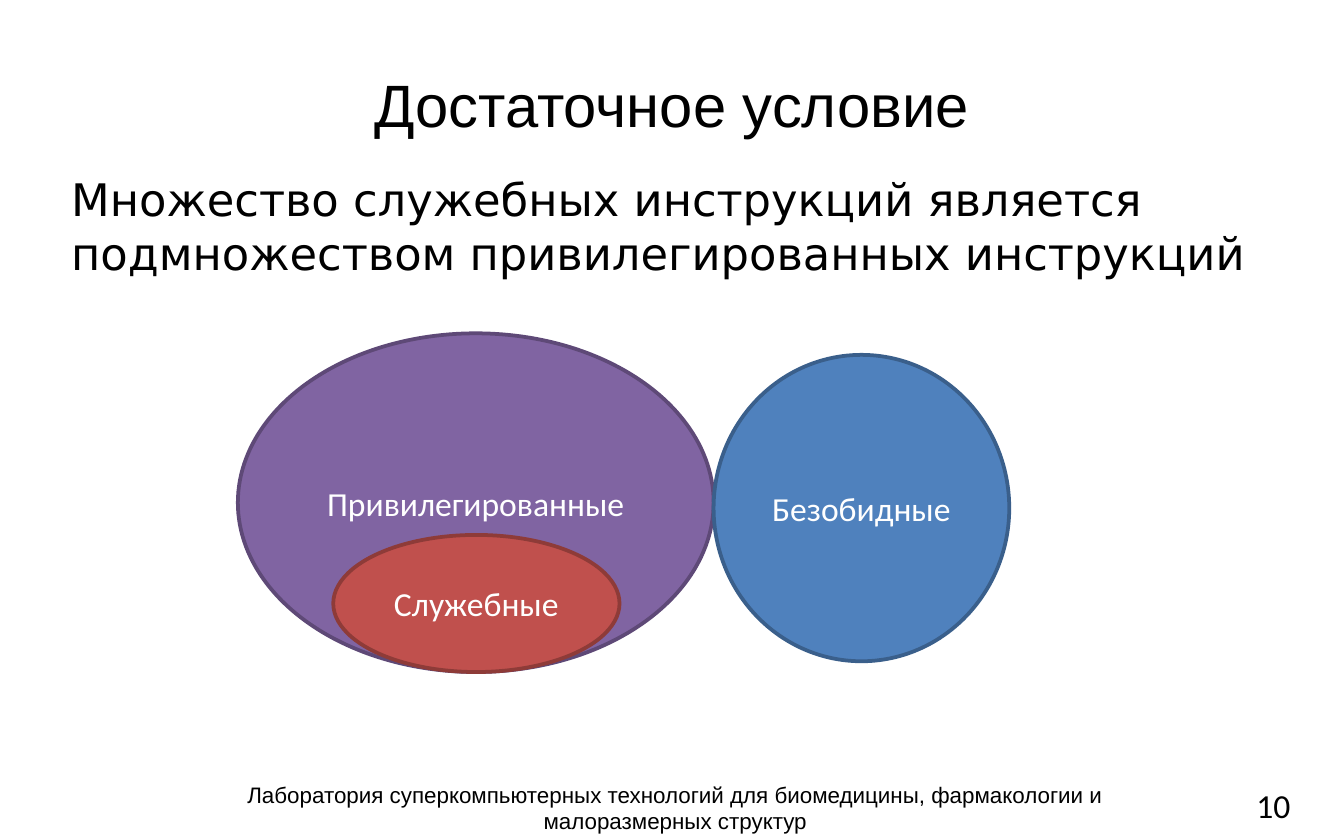
from dataclasses import dataclass

from pptx import Presentation, util as u
from pptx.dml.color import RGBColor
from pptx.enum import shapes, text

# Slide grid: cells of a tenth of an inch
COLUMNS, ROWS = 100, 62.2
CELL = u.Inches(0.1)

COLORS = {
    "ink": "000000",
    "paper": "FFFFFF",
    "privileged": "8064A2",
    "privileged_edge": "5E4977",
    "harmless": "4F81BD",
    "harmless_edge": "3A5F8B",
    "service": "C0504D",
    "service_edge": "8E3B38",
}


@dataclass(frozen=True)
class Area:
    column: float
    row: float
    columns: float
    rows: float

    def lengths(self) -> tuple[int, ...]:
        return tuple(round(n * CELL) for n in
                     (self.column, self.row, self.columns, self.rows))


@dataclass(frozen=True)
class InstructionSet:
    label: str
    area: Area
    color: str


@dataclass(frozen=True)
class Style:
    font: str
    size: float
    color: str = "ink"
    align: text.PP_ALIGN = text.PP_ALIGN.LEFT
    anchor: text.MSO_ANCHOR = text.MSO_ANCHOR.TOP


CENTER, MIDDLE = text.PP_ALIGN.CENTER, text.MSO_ANCHOR.MIDDLE
TITLE = Style("Arial", 32, align=CENTER, anchor=MIDDLE)
STATEMENT = Style("DejaVu Sans", 24)
LABEL = Style("Calibri", 18, "paper", CENTER, MIDDLE)
FOOTER = Style("Arial", 12, align=CENTER)
PAGE = Style("Calibri", 18)

SETS = [
    InstructionSet("Привилегированные", Area(17.7, 24.8, 35.4, 25.2), "privileged"),
    InstructionSet("Безобидные", Area(53.1, 26.4, 22, 22.8), "harmless"),
    InstructionSet("Служебные", Area(24.8, 39.8, 21.3, 10.2), "service"),
]


def rgb(name: str) -> RGBColor:
    return RGBColor.from_string(COLORS[name])


def write(shape, words: str, style: Style) -> None:
    frame = shape.text_frame
    frame.text = words
    frame.word_wrap = True
    frame.auto_size = text.MSO_AUTO_SIZE.NONE
    frame.vertical_anchor = style.anchor
    paragraph = frame.paragraphs[0]
    paragraph.alignment = style.align
    paragraph.line_spacing = 1.0
    paragraph.space_before = u.Pt(0)
    font = paragraph.runs[0].font
    font.name, font.size = style.font, u.Pt(style.size)
    font.color.rgb = rgb(style.color)


def place(shape, area: Area) -> None:
    shape.left, shape.top, shape.width, shape.height = area.lengths()


def remove_bullet(paragraph) -> None:
    properties = paragraph._p.get_or_add_pPr()
    properties.set("marL", "0")
    properties.set("indent", "0")
    properties.append(properties.makeelement(
        "{http://schemas.openxmlformats.org/drawingml/2006/main}buNone", {}))


def draw_set(slide, item: InstructionSet) -> None:
    ellipse = slide.shapes.add_shape(shapes.MSO_SHAPE.OVAL, *item.area.lengths())
    ellipse.shadow.inherit = False
    ellipse.fill.solid()
    ellipse.fill.fore_color.rgb = rgb(item.color)
    ellipse.line.color.rgb = rgb(f"{item.color}_edge")
    ellipse.line.width = u.Pt(2)
    write(ellipse, item.label, LABEL)


def add_note(slide, words: str, area: Area, style: Style) -> None:
    write(slide.shapes.add_textbox(*area.lengths()), words, style)


def main() -> None:
    deck = Presentation()
    deck.slide_width, deck.slide_height = round(COLUMNS * CELL), round(ROWS * CELL)
    slide = deck.slides.add_slide(deck.slide_layouts[1])

    # Title and statement
    title, statement = slide.placeholders
    place(title, Area(5, 2.5, 90, 10.4))
    write(title, "Достаточное условие", TITLE)
    place(statement, Area(4.3, 12.3, 91, 9))
    statement.fill.solid()
    statement.fill.fore_color.rgb = rgb("paper")
    write(statement, "Множество служебных инструкций является "
          "подмножеством привилегированных инструкций", STATEMENT)
    remove_bullet(statement.text_frame.paragraphs[0])

    # Diagram of the instruction sets
    for item in SETS:
        draw_set(slide, item)

    # Footer and page number
    add_note(slide, "Лаборатория суперкомпьютерных технологий для биомедицины, "
             "фармакологии и малоразмерных структур", Area(11.4, 57.6, 77.7, 3.3), FOOTER)
    add_note(slide, "10", Area(92.5, 57.9, 5.6, 3.3), PAGE)

    deck.save("out.pptx")


if __name__ == "__main__":
    main()
